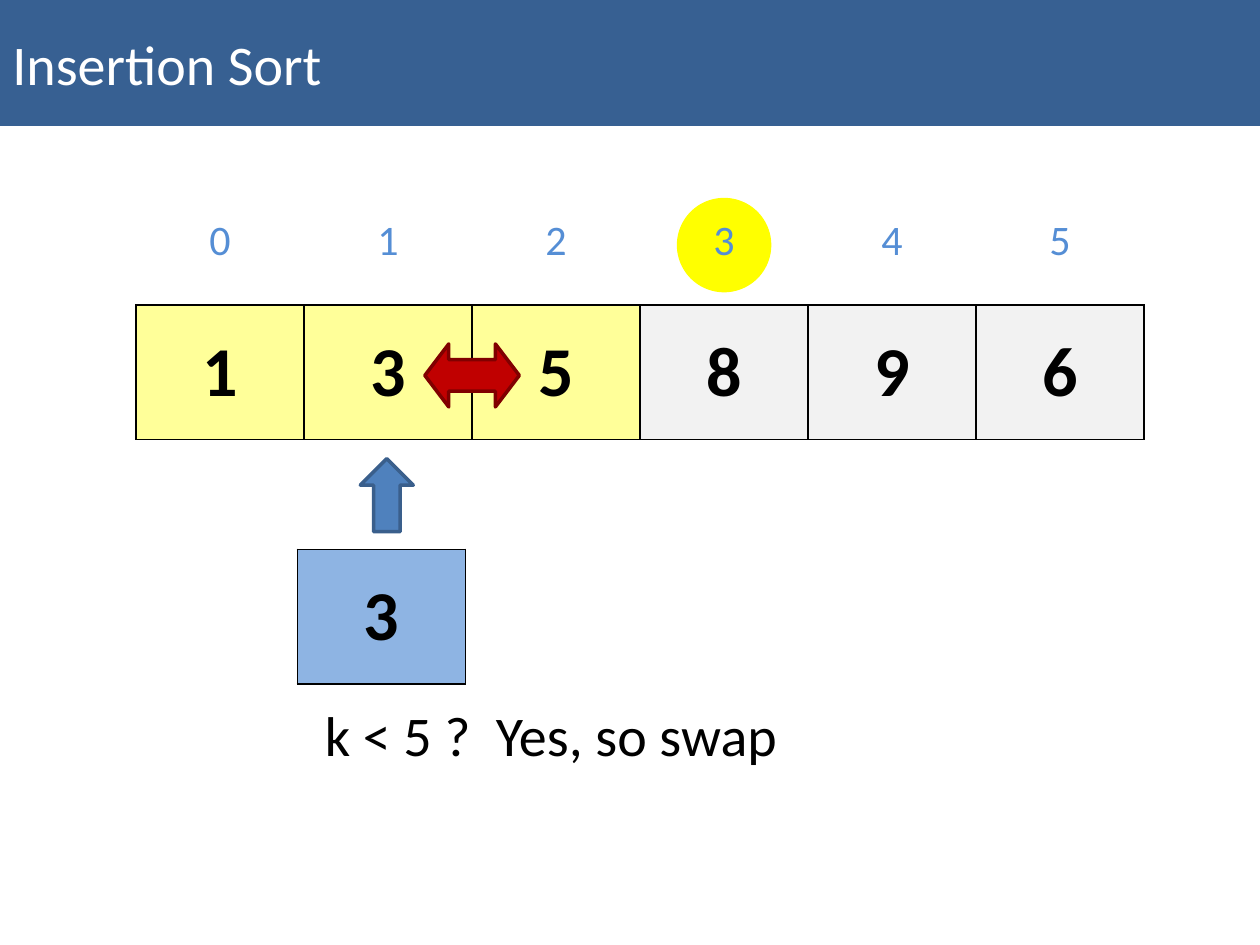
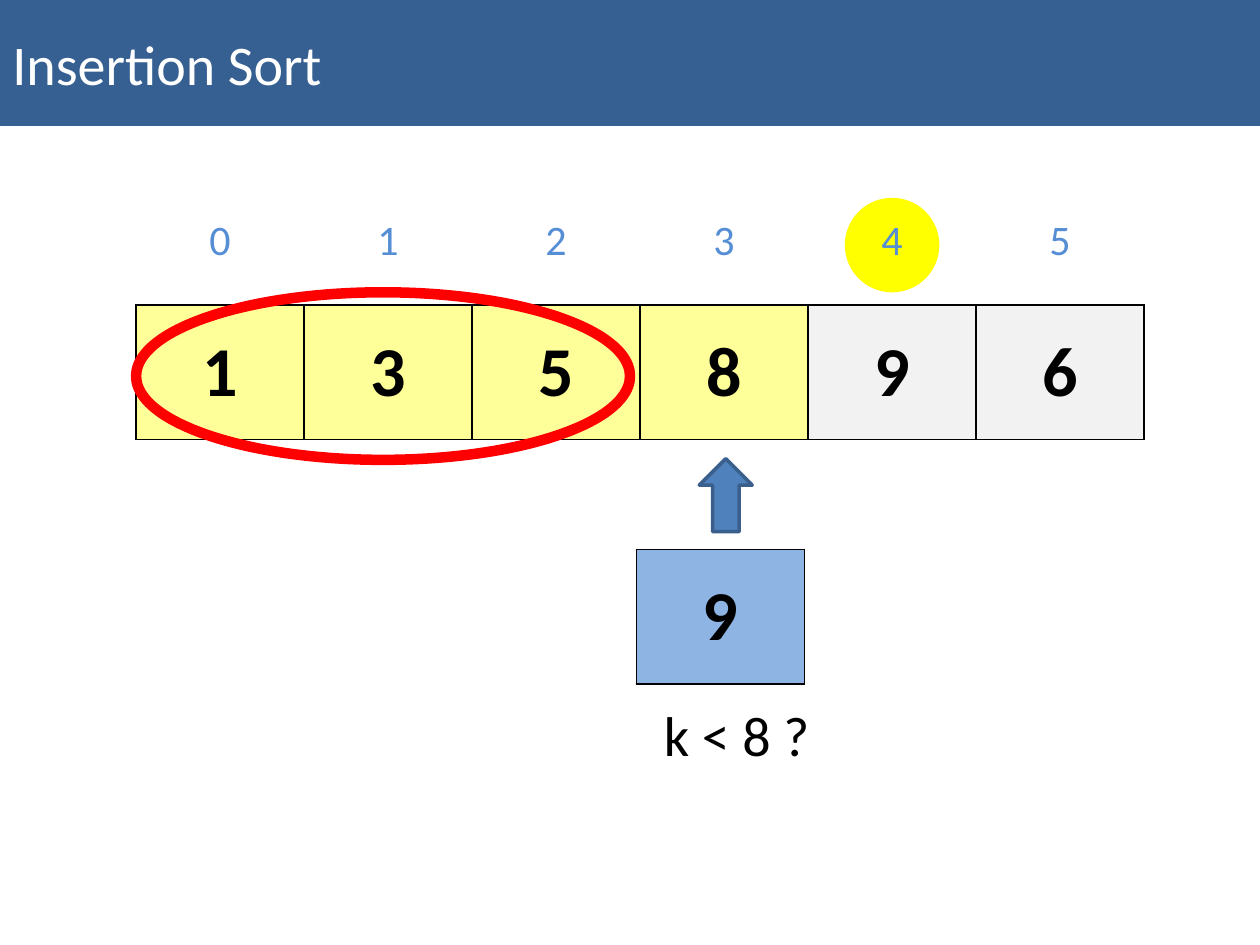
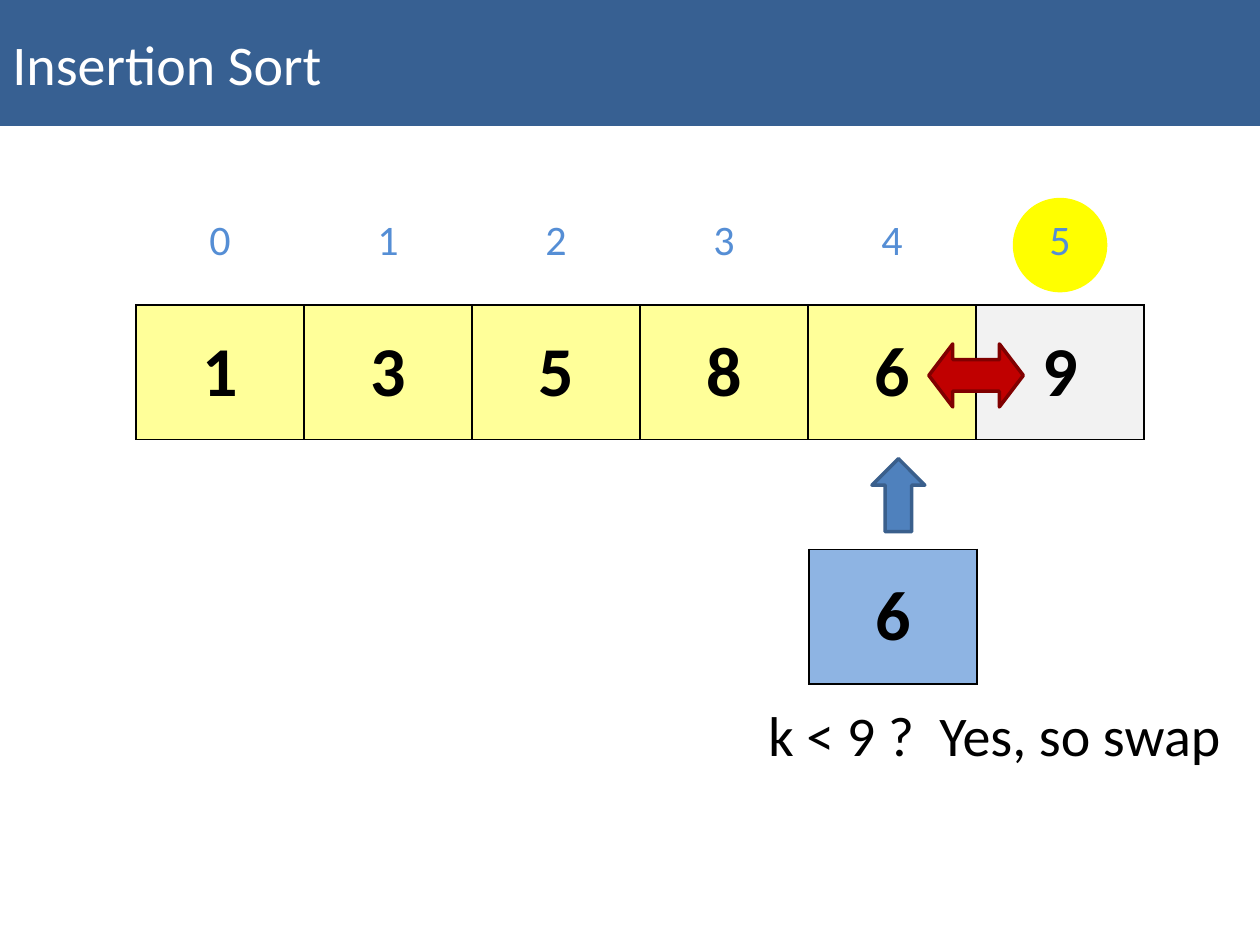
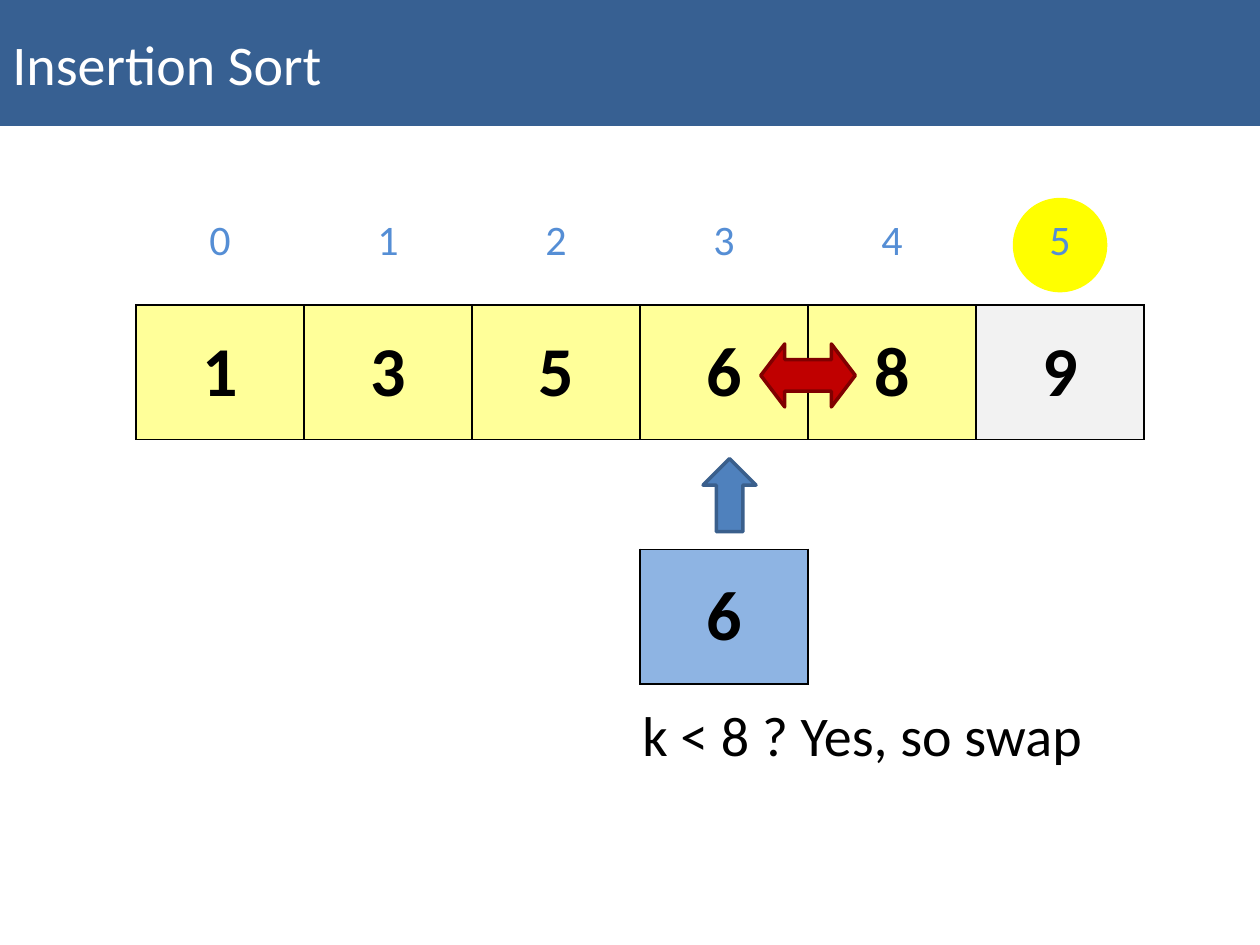
from lxml import etree
from pptx import Presentation
from pptx.dml.color import RGBColor
from pptx.enum.shapes import MSO_SHAPE as Shape
from pptx.enum.text import MSO_ANCHOR as Anchor, MSO_AUTO_SIZE as AutoSize, PP_ALIGN as Align
from pptx.oxml.ns import qn
from pptx.util import Inches, Pt

TITLE = "Insertion Sort"
# sorted_count is also the index being inserted; swap names the left cell of the pair;
# key_left and caption_left are in inches.
STEPS = [
    dict(values=[1, 3, 5, 8, 9, 6], sorted_count=3, key=3, key_left=2.36,
         caption="k < 5 ?  Yes, so swap", caption_left=2.48, swap=1),
    dict(values=[1, 3, 5, 8, 9, 6], sorted_count=4, key=9, key_left=5.05,
         caption="k < 8 ?", caption_left=5.17, caption_width=3.3, ringed=True),
    dict(values=[1, 3, 5, 8, 6, 9], sorted_count=5, key=6, key_left=6.42,
         caption="k < 9 ?  Yes, so swap", caption_left=6, swap=4),
    dict(values=[1, 3, 5, 6, 8, 9], sorted_count=5, key=6, key_left=5.08,
         caption="k < 8 ? Yes, so swap", caption_left=5, swap=3),
]

FONT = "Calibri"
BAND, WHITE, BLACK = "376092", "FFFFFF", "000000"
SORTED, UNSORTED, KEY = "FFFF99", "F2F2F2", "8EB4E3"
INDEX, HIGHLIGHT, RING = "558ED5", "FFFF00", "FF0000"
POINTER, POINTER_LINE = "4F81BD", "3A5F8C"
SWAP, SWAP_LINE = "C00000", "800000"
NO_STYLE = "{2D5ABB26-0587-4C30-8999-92F81FD0307C}"

W, H = 10, 7.5
LEFT, CELL_W, CELL_H = 1.08, 8 / 6, 1.07
ARRAY_TOP, INDEX_TOP, INDEX_H = 2.42, 1.58, 0.67
KEY_TOP, CAPTION_TOP = 4.36, 5.51
DOT = 0.75
POINTER_W, POINTER_H = 0.42, 0.58
SWAP_W, SWAP_H = 0.75, 0.5


def rgb(color):
    return RGBColor.from_string(color)


def inches(*lengths):
    return [Inches(n) for n in lengths]


def add_text(tf, text, size, color, align=Align.LEFT, bold=False):
    p = tf.paragraphs[0]
    p.alignment = align
    r = p.add_run()
    r.text = text
    r.font.name, r.font.size, r.font.bold = FONT, Pt(size), bold
    r.font.color.rgb = rgb(color)


def add_shape(s, kind, box, fill=None, line=None, line_width=2):
    sp = s.shapes.add_shape(kind, *inches(*box))
    sp.shadow.inherit = False
    if fill:
        sp.fill.solid()
        sp.fill.fore_color.rgb = rgb(fill)
    else:
        sp.fill.background()
    if line:
        sp.line.color.rgb = rgb(line)
        sp.line.width = Pt(line_width)
    else:
        sp.line.fill.background()
    return sp


def add_borders(cell):
    tc_pr = cell._tc.get_or_add_tcPr()
    for side in ("lnL", "lnR", "lnT", "lnB"):
        ln = etree.SubElement(tc_pr, qn(f"a:{side}"), w=str(Pt(1)))
        fill = etree.SubElement(ln, qn("a:solidFill"))
        etree.SubElement(fill, qn("a:srgbClr"), val=BLACK)


def add_row(s, left, top, height, values, size, color, fills=None):
    """One-row table; a row with fills is bold and bordered, one without is bare."""
    frame = s.shapes.add_table(1, len(values), *inches(left, top, CELL_W * len(values), height))
    table = frame.table
    table.first_row = table.horz_banding = False
    table._tbl.tblPr.find(qn("a:tableStyleId")).text = NO_STYLE
    for i, value in enumerate(values):
        cell = table.cell(0, i)
        cell.vertical_anchor = Anchor.MIDDLE
        add_text(cell.text_frame, str(value), size, color, Align.CENTER, bold=bool(fills))
        if fills:
            add_borders(cell)
            cell.fill.solid()
            cell.fill.fore_color.rgb = rgb(fills[i])
        else:
            cell.fill.background()


def add_title(s):
    band = add_shape(s, Shape.RECTANGLE, (0, 0, W, 1), BAND)
    band.text_frame.vertical_anchor = Anchor.MIDDLE
    add_text(band.text_frame, TITLE, 32, WHITE)


def add_caption(s, text, left, width):
    tf = s.shapes.add_textbox(*inches(left, CAPTION_TOP, width, 0.64)).text_frame
    tf.word_wrap = True
    tf.auto_size = AutoSize.SHAPE_TO_FIT_TEXT
    add_text(tf, text, 32, BLACK)


def build_step(s, step):
    values, done, key_left = step["values"], step["sorted_count"], step["key_left"]
    dot_left = LEFT + (done + 0.5) * CELL_W - DOT / 2
    add_shape(s, Shape.OVAL, (dot_left, 1.57, DOT, DOT), HIGHLIGHT)
    add_title(s)

    fills = [SORTED] * done + [UNSORTED] * (len(values) - done)
    add_row(s, LEFT, ARRAY_TOP, CELL_H, values, 40, BLACK, fills)
    add_row(s, LEFT, INDEX_TOP, INDEX_H, range(len(values)), 24, INDEX)
    add_row(s, key_left, KEY_TOP, CELL_H, [step["key"]], 40, BLACK, [KEY])
    add_caption(s, step["caption"], step["caption_left"], step.get("caption_width", 4))

    pointer = add_shape(s, Shape.DOWN_ARROW, (key_left + 0.5, 3.64, POINTER_W, POINTER_H),
                        POINTER, POINTER_LINE)
    pointer.rotation = 180
    if "swap" in step:
        swap_left = LEFT + (step["swap"] + 1) * CELL_W - SWAP_W / 2
        arrow = add_shape(s, Shape.LEFT_RIGHT_ARROW, (swap_left, 2.73, SWAP_W, SWAP_H),
                          SWAP, SWAP_LINE)
        arrow.adjustments[0], arrow.adjustments[1] = 0.5, 0.38
    if step.get("ringed"):
        add_shape(s, Shape.OVAL, (LEFT, 2.32, 3.92, 1.33), line=RING, line_width=6)


def main():
    prs = Presentation()
    prs.slide_width, prs.slide_height = inches(W, H)
    for step in STEPS:
        build_step(prs.slides.add_slide(prs.slide_layouts[6]), step)
    prs.save("out.pptx")


if __name__ == "__main__":
    main()
